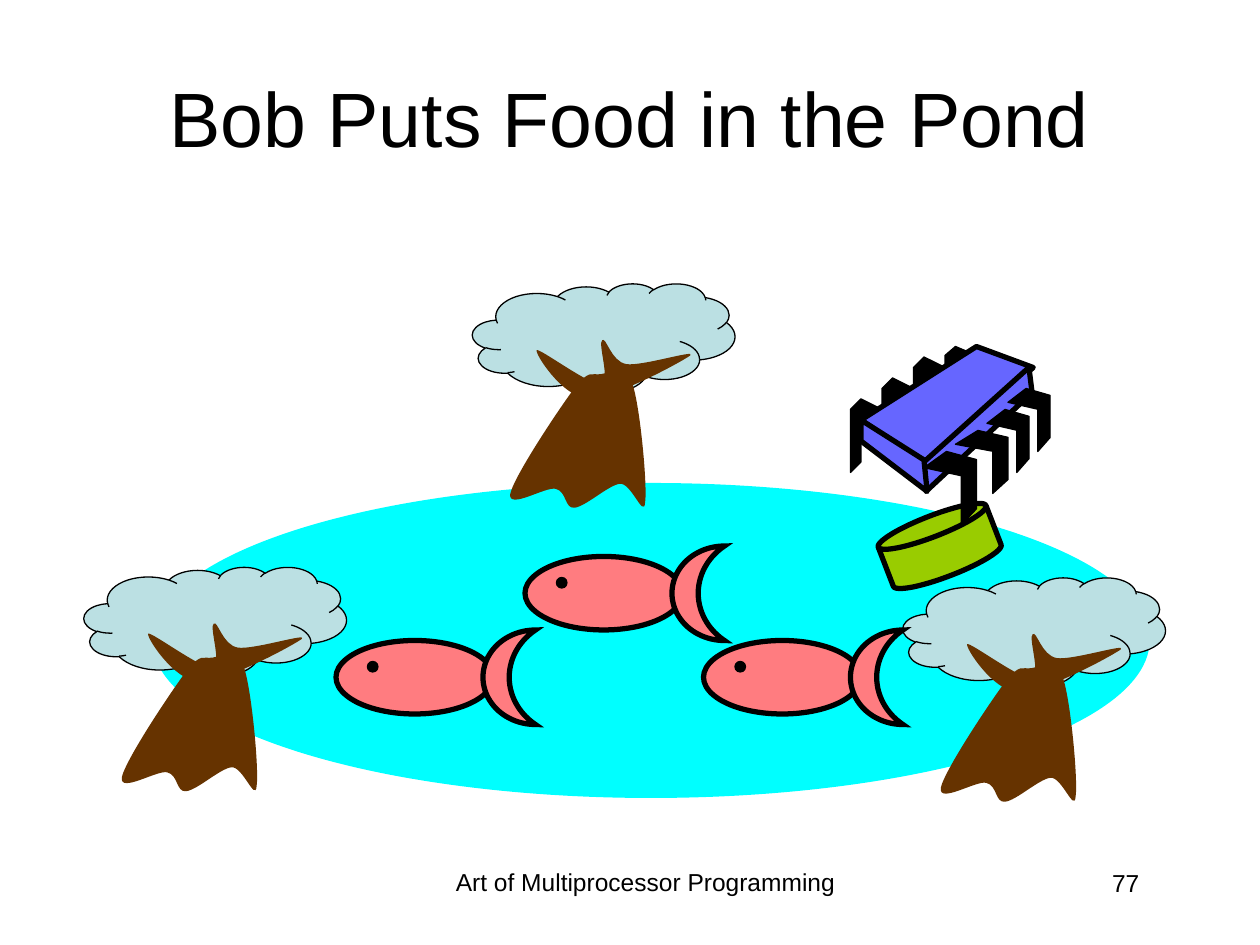
"""Draw a pond with trees, fish and a chip that drops food, on a grid of 120 by 90."""
from dataclasses import dataclass
from typing import Any

from lxml import etree
from pptx import Presentation
from pptx.dml.color import RGBColor
from pptx.enum.shapes import MSO_SHAPE
from pptx.enum.text import MSO_ANCHOR, PP_ALIGN
from pptx.oxml.ns import qn
from pptx.util import Inches, Pt

OVAL, MOON = MSO_SHAPE.OVAL, MSO_SHAPE.MOON
CLOUD, DISK = MSO_SHAPE.CLOUD_CALLOUT, MSO_SHAPE.FLOWCHART_MAGNETIC_DISK
MID, RIGHT = PP_ALIGN.CENTER, PP_ALIGN.RIGHT
TOP, HALF = MSO_ANCHOR.TOP, MSO_ANCHOR.MIDDLE
WIDE, HIGH = Inches(10), Inches(7.5)
COLS, ROWS = 120, 90
THIN, BOLD = 0.75, 3
FONT = "Arial"
INK = {
    "text": "000000", "pond": "00FFFF", "leaf": "BBE0E3", "wood": "663300",
    "fish": "FF7C80", "food": "99CC00", "chip": "6666FF", "leg": "000000",
}

Point = tuple[float, float]


@dataclass(frozen=True)
class Box:
    """Hold a place on the grid."""

    col: float
    row: float
    wide: float
    high: float


TREES = [(86, 55), (8, 54), (45, 27)]
SHOAL = [(32, 60), (50, 52), (67, 60)]
TRUNK = [
    (9.72, 9.96), (11.16, 8.16), (11.28, 8.76), (12.24, 8.64),
    (13.08, 8.52), (14.52, 7.56), (15.24, 9.6),
    (15.96, 11.64), (16.68, 19.32), (16.44, 20.88),
    (16.32, 22.44), (15.12, 18.96), (14.04, 19.08),
    (12.96, 19.2), (10.8, 21.24), (9.72, 21.36),
    (8.76, 21.48), (9, 19.8), (7.92, 19.56),
    (6.96, 19.32), (3.36, 21.6), (3.6, 20.04),
    (3.96, 18.36), (8.28, 11.88), (9.72, 9.96),
]
BOUGH = [
    (6.12, 6.36), (5.88, 6.6), (8.52, 10.8), (10.92, 10.92),
    (13.44, 11.04), (20.16, 7.32), (20.76, 6.84),
    (21.36, 6.24), (16.08, 7.92), (14.64, 7.68),
    (13.2, 7.44), (12.72, 5.04), (12.36, 5.4),
    (11.88, 5.64), (13.2, 9.36), (12.24, 9.6),
    (11.16, 9.72), (6.36, 6.12), (6.12, 6.36),
]
FACES = [
    [(93, 33), (82, 40), (88.2, 44.2), (98.4, 35)],
    [(98, 35), (88, 44), (88.2, 46.8), (98.3, 37.4)],
    [(82, 40), (82, 42), (88.3, 46.8), (88, 43.8)],
]
BACK = [(1, 1 / 7), (1 / 3, 0), (0, 1 / 7), (0, 1), (1 / 3, 6 / 7), (1 / 3, 2 / 7), (1, 3 / 7)]
FRONT = [(0.43, 0), (0, 0.22), (0.71, 0.33), (0.71, 1), (1, 0.78), (1, 0.11)]
REAR = [Box(81, 38, 3, 7), Box(84, 36, 3, 7), Box(87, 34, 3, 7), Box(90, 33, 3, 6)]
FORE = [Box(88, 43, 5, 7), Box(91, 41, 5, 6), Box(94, 39, 4, 6), Box(96, 37, 4, 6)]


def across(col: float) -> int:
    """Turn columns into a length."""
    return round(WIDE * col / COLS)


def down(row: float) -> int:
    """Turn rows into a length."""
    return round(HIGH * row / ROWS)


def frame(box: Box) -> tuple[int, int, int, int]:
    """Turn a grid box into left, top, width and height."""
    return across(box.col), down(box.row), across(box.wide), down(box.high)


def paint(shape: Any, fill: str, line: float) -> Any:
    """Set the fill and the outline, with no shadow."""
    shape.shadow.inherit = False
    shape.fill.solid()
    shape.fill.fore_color.rgb = RGBColor.from_string(INK[fill])
    if line:
        shape.line.color.rgb = RGBColor.from_string(INK["text"])
        shape.line.width = Pt(line)
    else:
        shape.line.fill.background()
    return shape


def stamp(shapes: Any, kind: Any, box: Box, fill: str, line: float = 0) -> Any:
    """Add a preset shape."""
    return paint(shapes.add_shape(kind, *frame(box)), fill, line)


def trace(shapes: Any, dots: list[Point], fill: str, line: float = 0) -> Any:
    """Add a closed outline."""
    spots = [(across(x), down(y)) for x, y in dots]
    pen = shapes.build_freeform(*spots[0])
    pen.add_line_segments(spots[1:], close=True)
    return paint(pen.convert_to_shape(), fill, line)


def bend(shape: Any) -> None:
    """Turn each three line segments into one cubic curve."""
    for track in shape.element.iter(qn("a:path")):
        lines = track.findall(qn("a:lnTo"))
        for i in range(0, len(lines) - 2, 3):
            curve = etree.Element(qn("a:cubicBezTo"))
            lines[i].addprevious(curve)
            for line in lines[i:i + 3]:
                curve.append(line[0])
                track.remove(line)


def sharpen(shape: Any) -> None:
    """Give the outline pointed corners."""
    edge = shape.element.spPr.find(qn("a:ln"))
    etree.SubElement(edge, qn("a:miter"), lim="800000")


def plant(shapes: Any, col: float, row: float) -> None:
    """Draw one tree."""
    tree = shapes.add_group_shape().shapes
    crown = stamp(tree, CLOUD, Box(col, row, 25, 10.4), "leaf", THIN)
    crown.adjustments[0] = 0.018
    crown.adjustments[1] = 0.493
    for part in (TRUNK, BOUGH):
        bend(trace(tree, [(col + x, row + y) for x, y in part], "wood"))


def swim(shapes: Any, col: float, row: float) -> None:
    """Draw one fish."""
    fish = shapes.add_group_shape().shapes
    stamp(fish, OVAL, Box(col, row + 1, 15, 7), "fish", BOLD)
    sharpen(stamp(fish, MOON, Box(col + 14, row, 5, 9), "fish", BOLD))
    stamp(fish, OVAL, Box(col + 3, row + 3, 1, 1), "text", THIN)


def walk(shapes: Any, legs: list[Box], form: list[Point]) -> None:
    """Draw one row of chip legs."""
    for leg in legs:
        dots = [(leg.col + x * leg.wide, leg.row + y * leg.high) for x, y in form]
        trace(shapes, dots, "leg", THIN)


def build(shapes: Any) -> None:
    """Draw the chip."""
    chip = shapes.add_group_shape().shapes
    walk(chip, REAR, BACK)
    for face in FACES:
        trace(chip, face, "chip", BOLD)
    walk(chip, FORE, FRONT)


def write(shape: Any, text: str, size: float, align: Any, anchor: Any) -> None:
    """Put one run of text in a shape."""
    body = shape.text_frame
    body.word_wrap = True
    body.vertical_anchor = anchor
    para = body.paragraphs[0]
    para.alignment = align
    run = para.add_run()
    run.text = text
    run.font.size = Pt(size)
    run.font.name = FONT
    run.font.color.rgb = RGBColor.from_string(INK["text"])


def main() -> None:
    """Build and save the slide."""
    deck = Presentation()
    deck.slide_width, deck.slide_height = WIDE, HIGH
    slide = deck.slides.add_slide(deck.slide_layouts[5])
    shapes = slide.shapes
    title = shapes.title
    title.left, title.top, title.width, title.height = frame(Box(6, 3.6, 108, 15))
    write(title, "Bob Puts Food in the Pond", 44, MID, HALF)
    stamp(shapes, OVAL, Box(14.5, 46, 95, 30), "pond")
    for spot in TREES:
        plant(shapes, *spot)
    for spot in SHOAL:
        swim(shapes, *spot)
    stamp(shapes, DISK, Box(84, 49, 11, 6), "food", BOLD).rotation = 338.9
    build(shapes)
    for text, box, align in (
        ("Art of Multiprocessor Programming", Box(41, 82, 41, 6.2), MID),
        ("77", Box(84.7, 82.1, 25, 6), RIGHT),
    ):
        write(shapes.add_textbox(*frame(box)), text, 14, align, TOP)
    deck.save("out.pptx")


if __name__ == "__main__":
    main()
